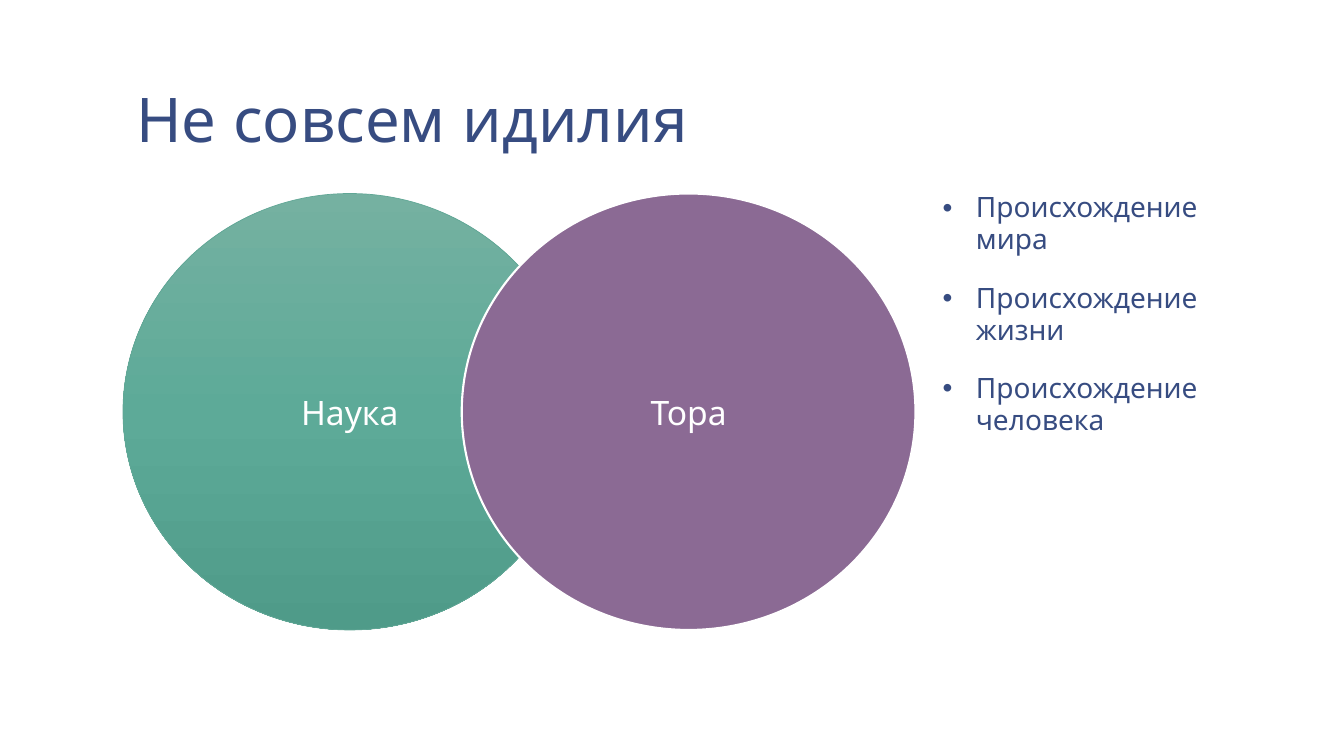
"""Build a slide of two overlapping circles beside a bulleted list."""
from copy import deepcopy
from dataclasses import dataclass

from pptx import Presentation
from pptx.dml.color import RGBColor
from pptx.enum.shapes import MSO_SHAPE as Preset
from pptx.enum.text import MSO_ANCHOR as Anchor, PP_ALIGN as Align
from pptx.oxml.ns import qn
from pptx.oxml.xmlchemy import OxmlElement
from pptx.shapes.autoshape import Shape
from pptx.slide import Slide
from pptx.text.text import TextFrame, _Paragraph as Paragraph
from pptx.util import Inches, Pt

FONT = "Quicksand"
NAVY = "374C81"
WHITE = "FFFFFF"


@dataclass
class Circle:
    label: str
    left: float
    colors: list[str]
    line: str
    line_width: float


CIRCLES = [
    Circle("Наука", 1.22, ["75B1A1", "5DAA98", "4F9B89"], "61A796", 0.5),
    Circle("Тора", 4.58, ["8B6A94"], WHITE, 1.5),
]
TOPICS = ["Происхождение мира", "Происхождение жизни", "Происхождение человека"]


def rgb(color: str) -> RGBColor:
    return RGBColor.from_string(color)


def add_span(para: Paragraph, text: str, size: float, color: str) -> None:
    span = para.add_run()
    span.text = text
    span.font.name = FONT
    span.font.size = Pt(size)
    span.font.color.rgb = rgb(color)


def add_box(page: Slide, left: float, top: float, width: float, height: float) -> TextFrame:
    box = page.shapes.add_textbox(Inches(left), Inches(top), Inches(width), Inches(height))
    box.text_frame.word_wrap = True
    return box.text_frame


def fill_shape(shape: Shape, colors: list[str]) -> None:
    fill = shape.fill
    if len(colors) == 1:
        fill.solid()
        fill.fore_color.rgb = rgb(colors[0])
        return
    fill.gradient()
    fill.gradient_angle = 270
    stops = shape.element.spPr.find(".//" + qn("a:gsLst"))
    for _ in colors[2:]:
        stops.append(deepcopy(stops[0]))
    for index, (stop, color) in enumerate(zip(fill.gradient_stops, colors)):
        stop.position = index / (len(colors) - 1)
        stop.color.rgb = rgb(color)


def add_circle(page: Slide, circle: Circle) -> None:
    shape = page.shapes.add_shape(
        Preset.OVAL, Inches(circle.left), Inches(1.92), Inches(4.5), Inches(4.33))
    shape.shadow.inherit = False
    fill_shape(shape, circle.colors)
    shape.line.color.rgb = rgb(circle.line)
    shape.line.width = Pt(circle.line_width)
    shape.text_frame.vertical_anchor = Anchor.MIDDLE
    para = shape.text_frame.paragraphs[0]
    para.alignment = Align.CENTER
    add_span(para, circle.label, 24, WHITE)


def add_title(page: Slide, text: str) -> None:
    frame = add_box(page, 1.22, 0.08, 11.11, 1.53)
    frame.vertical_anchor = Anchor.BOTTOM
    frame.margin_left = frame.margin_right = Inches(0.13)
    frame.margin_top = frame.margin_bottom = Inches(0.07)
    para = frame.paragraphs[0]
    para.line_spacing = 0.85
    add_span(para, text, 44, NAVY)


def add_bullet(para: Paragraph, indent: float) -> None:
    properties = para._p.get_or_add_pPr()
    properties.set("marL", str(Inches(indent)))
    properties.set("indent", str(-Inches(indent)))
    font = OxmlElement("a:buFont")
    font.set("typeface", "Arial")
    bullet = OxmlElement("a:buChar")
    bullet.set("char", "•")
    properties.extend([font, bullet])


def add_topics(page: Slide, topics: list[str]) -> None:
    frame = add_box(page, 9.25, 1.86, 3.08, 4.89)
    for index, topic in enumerate(topics):
        para = frame.add_paragraph() if index else frame.paragraphs[0]
        para.line_spacing = 0.95
        para.space_before = Pt(18.7)
        add_bullet(para, 0.33)
        add_span(para, topic, 20, NAVY)


def main() -> None:
    deck = Presentation()
    deck.slide_width = Inches(13.33)
    deck.slide_height = Inches(7.5)
    page = deck.slides.add_slide(deck.slide_layouts[6])
    page.background.fill.solid()
    page.background.fill.fore_color.rgb = rgb(WHITE)
    add_title(page, "Не совсем идилия")
    for circle in CIRCLES:
        add_circle(page, circle)
    add_topics(page, TOPICS)
    deck.save("out.pptx")


if __name__ == "__main__":
    main()
